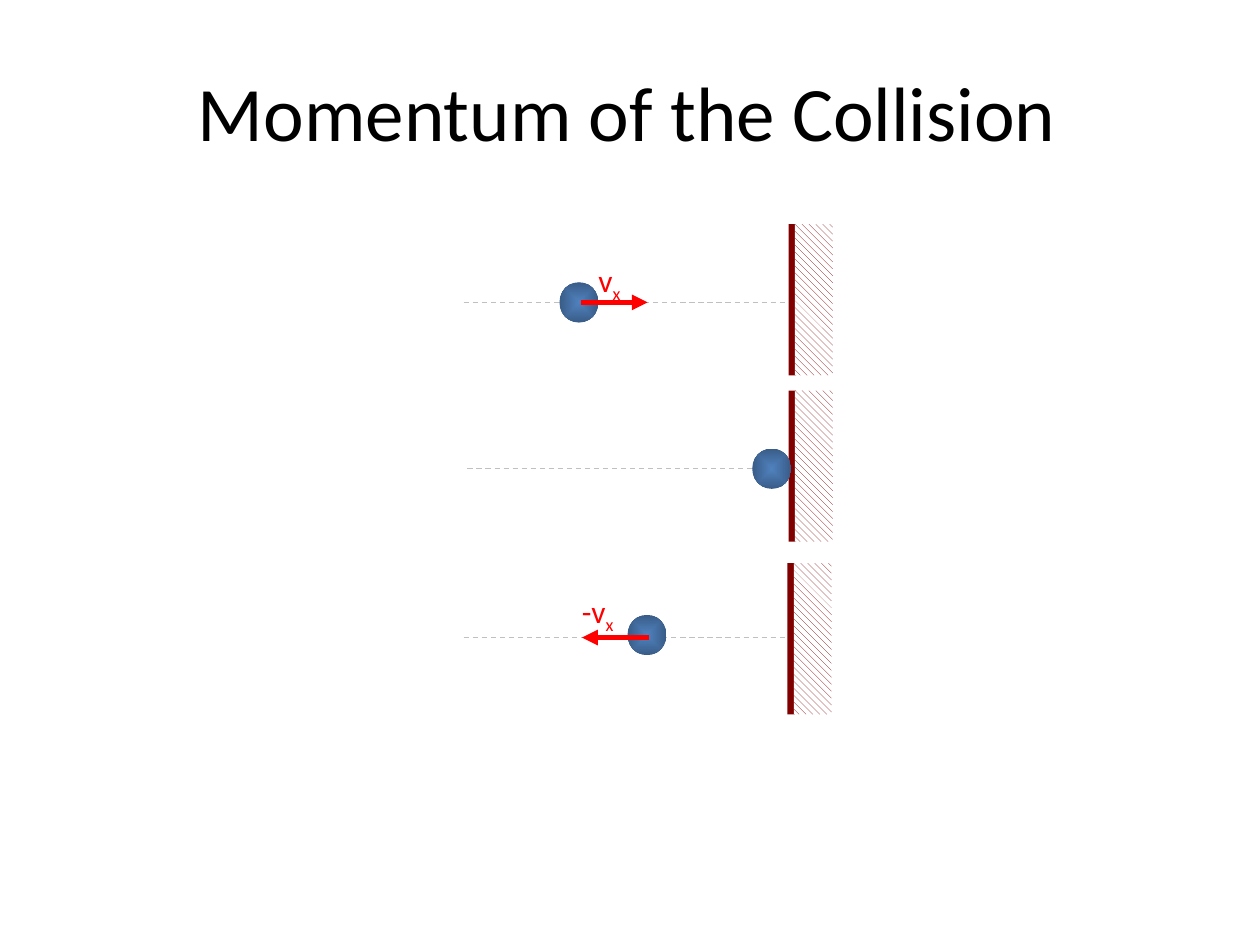
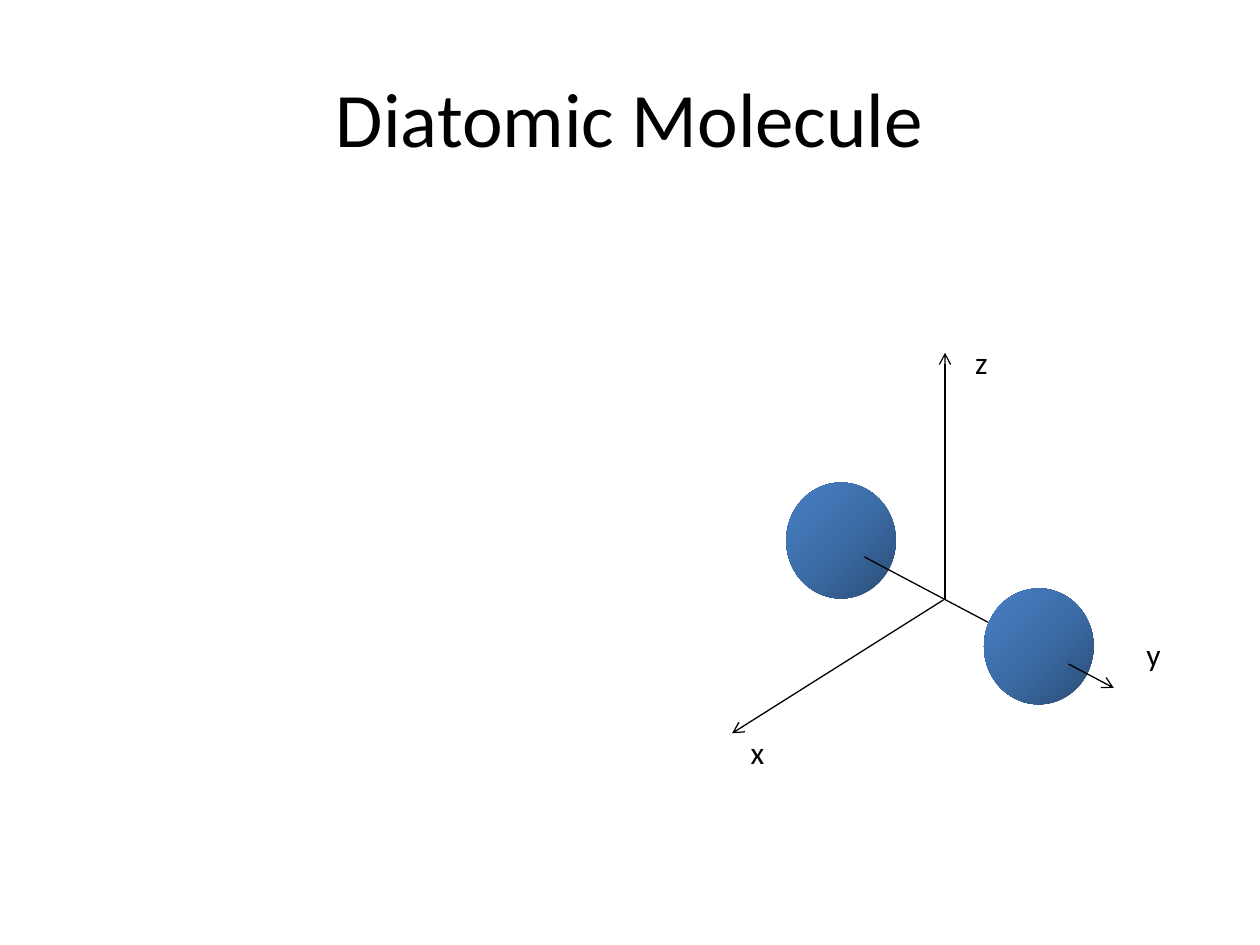
from lxml import etree
from pptx import Presentation
from pptx import util as u
from pptx.dml.color import RGBColor
from pptx.enum import dml, shapes, text
from pptx.oxml.ns import qn

BLACK, WHITE, RED, MAROON, GREY = "000000", "FFFFFF", "FF0000", "800000", "C0C0C0"
FONT = "Calibri"
LABEL_HEIGHT = 0.4
ARROW_HEAD = {"w": "med", "len": "med"}

BALL_SIZE = (0.31, 0.32)
BALL_FILL = ([(0, "4F81BD"), (100, "395C87")], "path", {"path": "shape"})
WALL_SIZE, HATCH_SIZE = (0.06, 1.2), (0.3, 1.2)
STAGES = [
    {"wall": (6.26, 1.78), "track": (3.68, 6.27, 2.4), "ball": (4.44, 2.24),
     "velocity": (4.61, 5.14), "label": ("v", 4.65, 2.02, 0.41)},
    {"wall": (6.26, 3.1), "track": (3.71, 6.29, 3.72), "ball": (5.97, 3.56)},
    {"wall": (6.25, 4.47), "track": (3.68, 6.27, 5.06), "ball": (4.98, 4.88),
     "velocity": (5.15, 4.62), "label": ("-v", 4.52, 4.65, 0.49)},
]

ATOM_SIZE = (0.87, 0.92)
ATOM_FILL = ([(0, "2A4C75"), (50, "3C6CA6"), (100, "4780C5")],
             "lin", {"ang": "13500000", "scaled": "0"})
FAR_ATOM, NEAR_ATOM = (6.24, 3.83), (7.81, 4.67)
BOND = ((6.86, 4.42), (7.9, 4.97))
BACK_AXES = [((7.5, 4.75), (7.5, 2.8)), ((7.49, 4.76), (5.81, 5.82))]
Y_AXIS = ((8.48, 5.27), (8.84, 5.46))
AXIS_LABELS = [("x", 5.86, 5.77), ("y", 9, 4.99), ("z", 7.64, 2.67)]


def color(value):
    return RGBColor.from_string(value)


def apply(target, formats):
    for name, value in formats.items():
        setattr(target, name, value)


def add_page(deck, title, left, top):
    page = deck.slides.add_slide(deck.slide_layouts[5])
    box = page.shapes.title
    places = zip(("left", "top", "width", "height"), (left, top, 9, 1.25))
    apply(box, {name: u.Inches(value) for name, value in places})
    box.text_frame.text = title
    box.text_frame.vertical_anchor = text.MSO_ANCHOR.MIDDLE
    para = box.text_frame.paragraphs[0]
    para.alignment = text.PP_ALIGN.CENTER
    apply(para.font, {"name": FONT, "size": u.Pt(44)})
    para.font.color.rgb = color(BLACK)
    return page


def add_solid(page, kind, at, size, fill):
    shape = page.shapes.add_shape(kind, *map(u.Inches, (*at, *size)))
    shape.shadow.inherit = False
    shape.line.fill.background()
    shape.fill.solid()
    shape.fill.fore_color.rgb = color(fill)
    return shape


def add_sphere(page, at, size, fill):
    stops, direction, settings = fill
    shape = add_solid(page, shapes.MSO_SHAPE.OVAL, at, size, stops[0][1])
    gradient = etree.Element(qn("a:gradFill"), rotWithShape="1")
    stop_list = etree.SubElement(gradient, qn("a:gsLst"))
    for percent, value in stops:
        stop = etree.SubElement(stop_list, qn("a:gs"), pos=str(percent * 1000))
        etree.SubElement(stop, qn("a:srgbClr"), val=value)
    shading = etree.SubElement(gradient, qn(f"a:{direction}"), settings)
    if direction == "path":
        etree.SubElement(shading, qn("a:fillToRect"), {side: "50000" for side in "ltrb"})
    properties = shape.element.spPr
    properties.replace(properties.find(qn("a:solidFill")), gradient)


def add_line(page, start, end, line_color=BLACK, width=0.75, dash=None, head=None):
    line = page.shapes.add_connector(shapes.MSO_CONNECTOR.STRAIGHT,
                                     *map(u.Inches, (*start, *end)))
    line.line.color.rgb = color(line_color)
    apply(line.line, {"width": u.Pt(width), "dash_style": dash})
    properties = line.element.spPr
    if head:
        etree.SubElement(properties.find(qn("a:ln")), qn("a:tailEnd"), ARROW_HEAD, type=head)
    etree.SubElement(properties, qn("a:effectLst"))


def add_label(page, words, left, top, width, label_color=BLACK, subscript=""):
    box = page.shapes.add_textbox(*map(u.Inches, (left, top, width, LABEL_HEIGHT)))
    apply(box.text_frame, {"word_wrap": False,
                           "auto_size": text.MSO_AUTO_SIZE.SHAPE_TO_FIT_TEXT})
    para = box.text_frame.paragraphs[0]
    for part in filter(None, (words, subscript)):
        span = para.add_run()
        span.text = part
        apply(span.font, {"name": FONT, "size": u.Pt(18)})
        span.font.color.rgb = color(label_color)
    if subscript:
        span.font._element.set("baseline", "-25000")


def add_wall(page, left, top):
    rectangle = shapes.MSO_SHAPE.RECTANGLE
    add_solid(page, rectangle, (left, top), WALL_SIZE, MAROON)
    hatch = add_solid(page, rectangle, (left + 0.05, top), HATCH_SIZE, WHITE)
    hatch.fill.patterned()
    hatch.fill.pattern = dml.MSO_PATTERN.WIDE_DOWNWARD_DIAGONAL
    hatch.fill.fore_color.rgb = color(MAROON)
    hatch.fill.back_color.rgb = color(WHITE)


def build_collision(deck):
    page = add_page(deck, "Momentum of the Collision", 0.48, 0.25)
    for stage in STAGES:
        start, end, level = stage["track"]
        add_line(page, (start, level), (end, level), GREY, dash=dml.MSO_LINE.DASH)
        add_wall(page, *stage["wall"])
        add_sphere(page, stage["ball"], BALL_SIZE, BALL_FILL)
        if "velocity" in stage:
            tail, tip = stage["velocity"]
            add_line(page, (tail, level), (tip, level), RED, 3, head="triangle")
            add_label(page, *stage["label"], RED, "x")


def build_molecule(deck):
    page = add_page(deck, "Diatomic Molecule", 0.5, 0.3)
    add_sphere(page, FAR_ATOM, ATOM_SIZE, ATOM_FILL)
    for start, end in BACK_AXES:
        add_line(page, start, end, head="arrow")
    add_line(page, *BOND)
    add_sphere(page, NEAR_ATOM, ATOM_SIZE, ATOM_FILL)
    add_line(page, *Y_AXIS, head="arrow")
    for words, left, top in AXIS_LABELS:
        add_label(page, words, left, top, 0.33)


def main():
    """Build the collision and molecule slides."""
    deck = Presentation()
    apply(deck, {"slide_width": u.Inches(10), "slide_height": u.Inches(7.5)})
    build_collision(deck)
    build_molecule(deck)
    deck.save("out.pptx")


if __name__ == "__main__":
    main()
